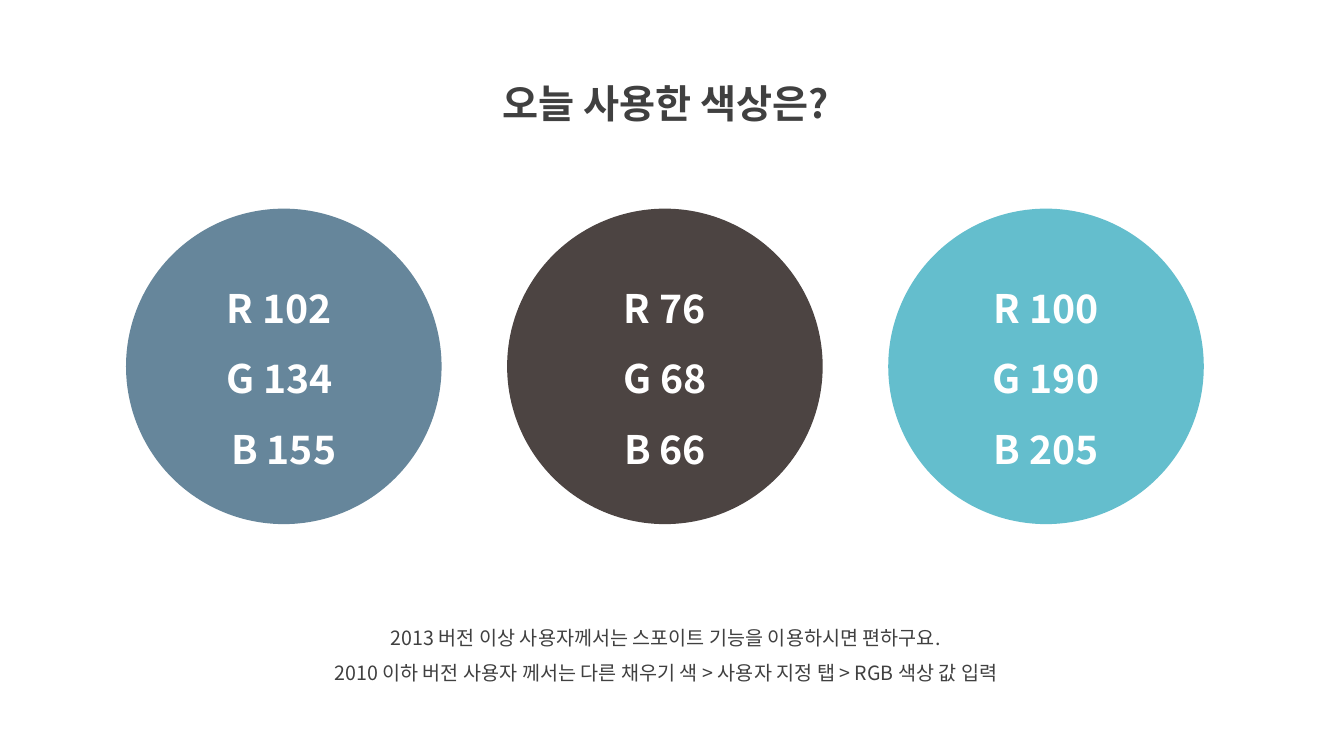
"""Build a slide that lists the three colours used today."""
from lxml.etree import SubElement
from pptx import Presentation
from pptx.dml.color import RGBColor
from pptx.enum.shapes import MSO_SHAPE
from pptx.enum.text import MSO_ANCHOR, MSO_AUTO_SIZE, PP_ALIGN
from pptx.oxml.ns import qn
from pptx.util import Inches, Pt

FONT = "Noto Sans CJK KR"
GREY, WHITE = "404040", "FFFFFF"
TITLE = ["오늘 사용한 색상은?"]
NOTES = [
    "2013 버전 이상 사용자께서는 스포이트 기능을 이용하시면 편하구요.",
    "2010 이하 버전 사용자 께서는 다른 채우기 색 > 사용자 지정 탭 > RGB 색상 값 입력",
]
DISCS = [
    ("66869B", ["R 102 ", "G 134 ", "B 155"]),
    ("4C4442", ["R 76", "G 68", "B 66"]),
    ("64BECD", ["R 100", "G 190", "B 205"]),
]
LEFT, TOP, SIZE, STEP = 1.25, 2.07, 3.13, 3.78


def tint(text):
    return RGBColor.from_string(text)


def write(frame, lines, size, color, bold):
    frame.word_wrap = True
    frame.text = "\n".join(lines)
    for para in frame.paragraphs:
        para.alignment = PP_ALIGN.CENTER
        para.line_spacing = 1.5
        font = para.font
        font.size, font.bold, font.name = Pt(size), bold, FONT
        font.color.rgb = tint(color)
        SubElement(font._element, qn("a:ea"), typeface=FONT)


def label(box, lines, size, bold):
    frame = slide.shapes.add_textbox(*map(Inches, box)).text_frame
    write(frame, lines, size, GREY, bold)
    frame.auto_size = MSO_AUTO_SIZE.SHAPE_TO_FIT_TEXT


def disc(left, fill, lines):
    shape = slide.shapes.add_shape(
        MSO_SHAPE.OVAL, *map(Inches, (left, TOP, SIZE, SIZE)))
    shape.shadow.inherit = False
    shape.fill.solid()
    shape.fill.fore_color.rgb = tint(fill)
    shape.line.fill.background()
    shape.text_frame.vertical_anchor = MSO_ANCHOR.MIDDLE
    write(shape.text_frame, lines, 28, WHITE, True)


deck = Presentation()
deck.slide_width, deck.slide_height = Inches(13.33), Inches(7.5)
slide = deck.slides.add_slide(deck.slide_layouts[6])

label((4.29, 0.5, 4.63, 0.72), TITLE, 28, True)
for col, (fill, lines) in enumerate(DISCS):
    disc(LEFT + col * STEP, fill, lines)
label((2.61, 6.04, 7.99, 0.81), NOTES, 14, False)

deck.save("out.pptx")
